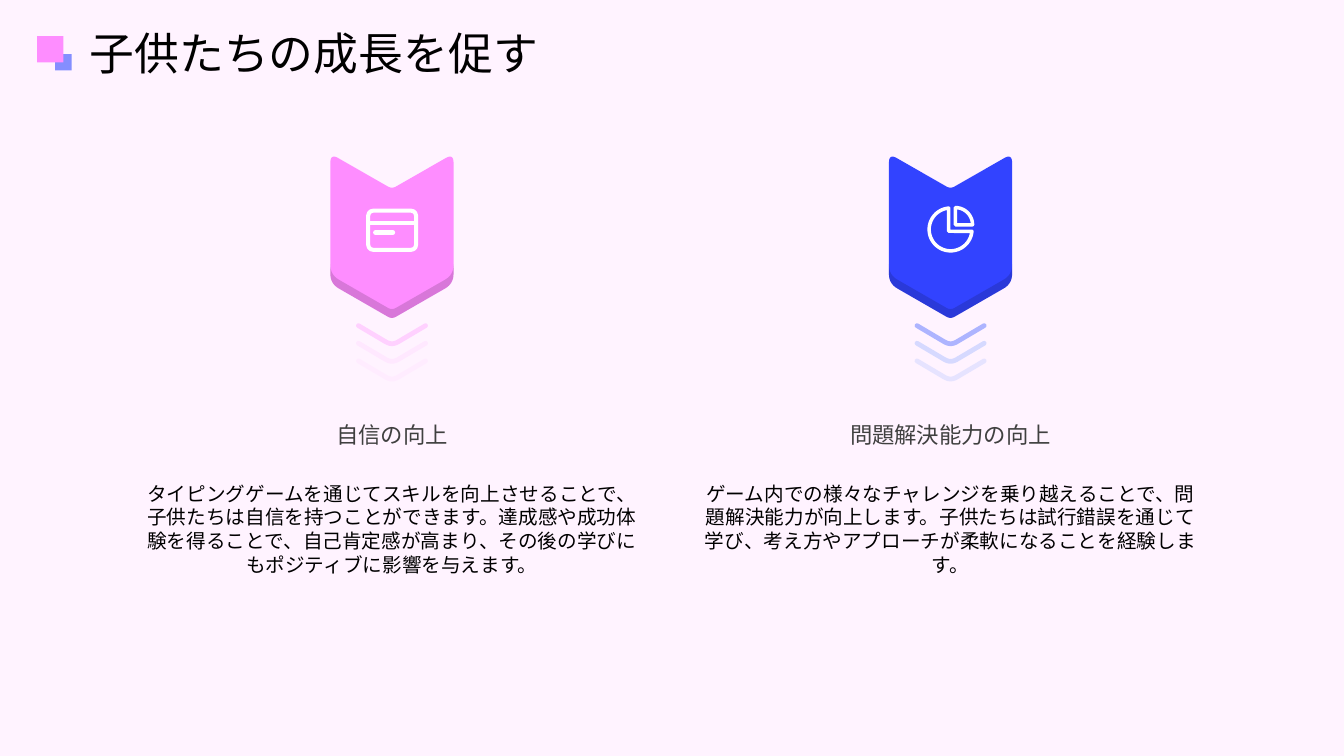
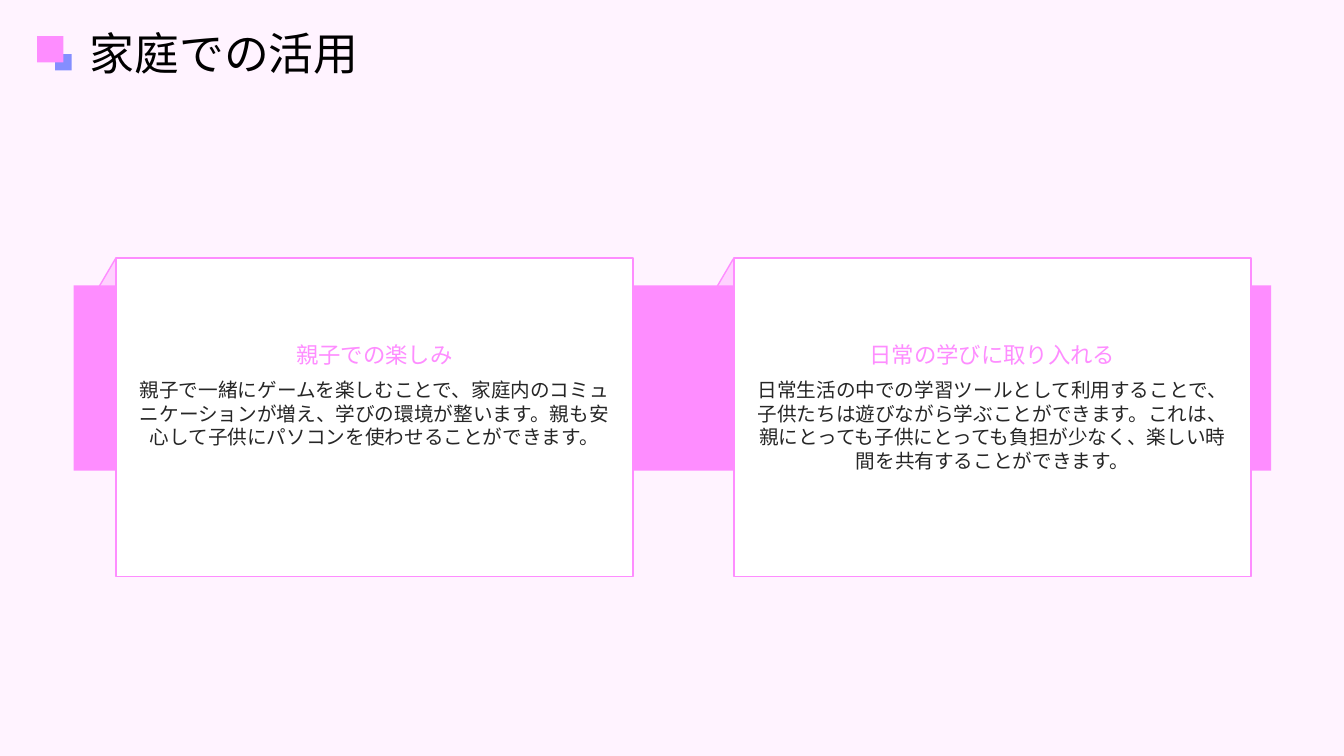
import math

from lxml import etree
from pptx import Presentation
from pptx.dml.color import RGBColor
from pptx.enum import shapes, text
from pptx.oxml.ns import qn
from pptx.util import Pt

FONT = "TeX Gyre Schola"
BACKDROP, WHITE, BLACK = "FFF3FF", "FFFFFF", "000000"
PINK, PINK_MID, PINK_PALE = "FE8DFF", "FFD1FF", "FFE8FF"
BLUE, BLUE_LIGHT, BLUE_MID, BLUE_PALE = "3243FF", "848EFF", "ADB4FF", "D6D9FF"
HEADING, BODY = "404040", "262626"
SHAPE = shapes.MSO_SHAPE
ANCHOR = text.MSO_ANCHOR


def rgb(value):
    return RGBColor.from_string(value)


# Elements
def style(sp, fill=None, line=None, width=1, alpha=None, round_cap=False):
    sp.shadow.inherit = False
    if fill:
        sp.fill.solid()
        sp.fill.fore_color.rgb = rgb(fill)
    else:
        sp.fill.background()
    if line:
        sp.line.color.rgb = rgb(line)
        sp.line.width = Pt(width)
    else:
        sp.line.fill.background()
    props = sp.element.spPr
    if alpha:
        for color in props.iter(qn("a:srgbClr")):
            etree.SubElement(color, qn("a:alpha")).set("val", str(alpha * 1000))
    if round_cap:
        props.find(qn("a:ln")).set("cap", "rnd")
    return sp


def add_box(s, kind, x, y, w, h, **look):
    return style(s.shapes.add_shape(kind, Pt(x), Pt(y), Pt(w), Pt(h)), **look)


def add_outline(s, points, dx=0, dy=0, close=True, **look):
    points = [(Pt(x + dx), Pt(y + dy)) for x, y in points]
    builder = s.shapes.build_freeform(*points[0], scale=1.0)
    builder.add_line_segments(points[1:], close=close)
    return style(builder.convert_to_shape(), **look)


def add_line(s, x1, x2, y, color, width, cap="flat"):
    cn = s.shapes.add_connector(shapes.MSO_CONNECTOR.STRAIGHT, Pt(x1), Pt(y), Pt(x2), Pt(y))
    cn.line.color.rgb = rgb(color)
    cn.line.width = Pt(width)
    props = cn.element.spPr
    props.find(qn("a:ln")).set("cap", cap)
    etree.SubElement(props, qn("a:effectLst"))


def add_text(s, content, x, y, w, h, size=14, color=BLACK, align=text.PP_ALIGN.CENTER,
             anchor=ANCHOR.TOP):
    tf = s.shapes.add_textbox(Pt(x), Pt(y), Pt(w), Pt(h)).text_frame
    tf.word_wrap = True
    tf.margin_left = tf.margin_right = tf.margin_top = tf.margin_bottom = 0
    tf.vertical_anchor = anchor
    p = tf.paragraphs[0]
    p.alignment = align
    r = p.add_run()
    r.text = content
    r.font.name, r.font.size, r.font.color.rgb = FONT, Pt(size), rgb(color)


# Geometry
def round_corners(corners, steps=8):
    """Turn (x, y, cut) corners into points; a cut of 0 keeps the corner sharp."""
    points = []
    for i, (x, y, cut) in enumerate(corners):
        if not cut:
            points.append((x, y))
            continue
        ends = []
        for nx, ny, _ in (corners[i - 1], corners[(i + 1) % len(corners)]):
            t = cut / math.hypot(nx - x, ny - y)
            ends.append((x + (nx - x) * t, y + (ny - y) * t))
        (ax, ay), (bx, by) = ends
        for k in range(steps + 1):
            t = k / steps
            a, b, c = (1 - t) ** 2, 2 * t * (1 - t), t * t
            points.append((a * ax + b * x + c * bx, a * ay + b * y + c * by))
    return points


def sector(apex, center, radius, start, end, steps=48):
    angles = [math.radians(start + (end - start) * k / steps) for k in range(steps + 1)]
    return [apex] + [(center[0] + radius * math.cos(a), center[1] + radius * math.sin(a))
                     for a in angles]


# Badge parts, drawn around a vertical axis at cx
def draw_badge(s, cx, color, trail):
    body = round_corners([(44, 109.7, 6.5), (44, 202.6, 7), (0, 227.9, 3.4),
                          (-44, 202.6, 7), (-44, 109.7, 6.5), (0, 134.9, 3.4)])
    edge = round_corners([(44, 195, 0), (44, 202.6, 7), (0, 227.9, 3.4),
                          (-44, 202.6, 7), (-44, 195, 0)])
    raised = [(x, y - 6.3) for x, y in reversed(edge)]
    add_outline(s, body, dx=cx, fill=color)
    add_outline(s, edge + raised, dx=cx, fill=BLACK, alpha=15)
    chevron = round_corners([(-24, 232.6, 0), (0, 246.8, 5), (24, 232.6, 0)])
    for i, (shade, alpha) in enumerate(trail):
        add_outline(s, chevron, dx=cx, dy=12.6 * i, close=False, line=shade, width=3.4,
                    alpha=alpha, round_cap=True)


def draw_card_icon(s, cx):
    frame = add_box(s, SHAPE.ROUNDED_RECTANGLE, cx - 17, 150.5, 34.2, 28,
                    line=WHITE, width=2.9)
    frame.adjustments[0] = 0.13
    add_line(s, cx - 17, cx + 17.2, 159.1, WHITE, 2.9)
    add_line(s, cx - 11.8, cx + 0.6, 166, WHITE, 3.4, cap="rnd")


def draw_pie_icon(s, cx):
    rest = sector((-1.3, 165.2), (0, 163.9), 15.3, 5, 265)
    slice_ = sector((3.4, 160.6), (3.4, 160.6), 12.3, -90, 0)
    for points in (rest, slice_):
        add_outline(s, points, dx=cx, line=WHITE, width=2.5)


# Slides
def new_slide(prs, title):
    s = prs.slides.add_slide(prs.slide_layouts[6])
    s.background.fill.solid()
    s.background.fill.fore_color.rgb = rgb(BACKDROP)
    add_box(s, SHAPE.RECTANGLE, 39.4, 38.6, 11.8, 11.8, fill=BLUE_LIGHT)
    add_box(s, SHAPE.RECTANGLE, 26.6, 25.9, 18.7, 18.7, fill=PINK)
    add_text(s, title, 64.1, 20.9, 852.5, 33.8, size=32, align=text.PP_ALIGN.LEFT,
             anchor=ANCHOR.MIDDLE)
    return s


def growth_slide(prs):
    s = new_slide(prs, "子供たちの成長を促す")
    columns = [
        (280, PINK, (PINK_MID, PINK_PALE), draw_card_icon, "自信の向上",
         "タイピングゲームを通じてスキルを向上させることで、子供たちは自信を持つことができます。"
         "達成感や成功体験を得ることで、自己肯定感が高まり、その後の学びにもポジティブに影響を与えます。"),
        (679, BLUE, (BLUE_MID, BLUE_PALE), draw_pie_icon, "問題解決能力の向上",
         "ゲーム内での様々なチャレンジを乗り越えることで、問題解決能力が向上します。"
         "子供たちは試行錯誤を通じて学び、考え方やアプローチが柔軟になることを経験します。"),
    ]
    width = 357.1
    for cx, color, (mid, pale), draw_icon, heading, body in columns:
        draw_badge(s, cx, color, [(mid, None), (pale, None), (pale, 60)])
        draw_icon(s, cx)
        left = cx - width / 2
        add_text(s, heading, left, 279.4, width, 62.6, size=16, color=HEADING,
                 anchor=ANCHOR.MIDDLE)
        add_text(s, body, left, 344.2, width, 127.4)


def home_slide(prs):
    s = new_slide(prs, "家庭での活用")
    cards = [
        ("親子での楽しみ",
         "親子で一緒にゲームを楽しむことで、家庭内のコミュニケーションが増え、学びの環境が整います。"
         "親も安心して子供にパソコンを使わせることができます。"),
        ("日常の学びに取り入れる",
         "日常生活の中での学習ツールとして利用することで、子供たちは遊びながら学ぶことができます。"
         "これは、親にとっても子供にとっても負担が少なく、楽しい時間を共有することができます。"),
    ]
    lefts = [82.8 + 441.4 * i for i in range(len(cards))]
    # Folded corners lie behind the band, cards in front
    for x in lefts:
        add_box(s, SHAPE.ISOSCELES_TRIANGLE, x - 17.3, 185, 33.8, 28.8,
                fill=PINK_MID, line=PINK)
    add_box(s, SHAPE.RECTANGLE, 52.6, 203.8, 855.4, 132.5, fill=PINK)
    for x, (heading, body) in zip(lefts, cards):
        add_box(s, SHAPE.RECTANGLE, x, 184.3, 369.4, 227.5, fill=WHITE, line=PINK)
        add_text(s, heading, x + 15.1, 205.9, 339.1, 56.9, size=16, color=PINK,
                 anchor=ANCHOR.BOTTOM)
        add_text(s, body, x + 15.1, 270, 339.1, 132.5, color=BODY)


def main():
    prs = Presentation()
    prs.slide_width, prs.slide_height = Pt(960), Pt(540)
    growth_slide(prs)
    home_slide(prs)
    prs.save("out.pptx")


if __name__ == "__main__":
    main()
